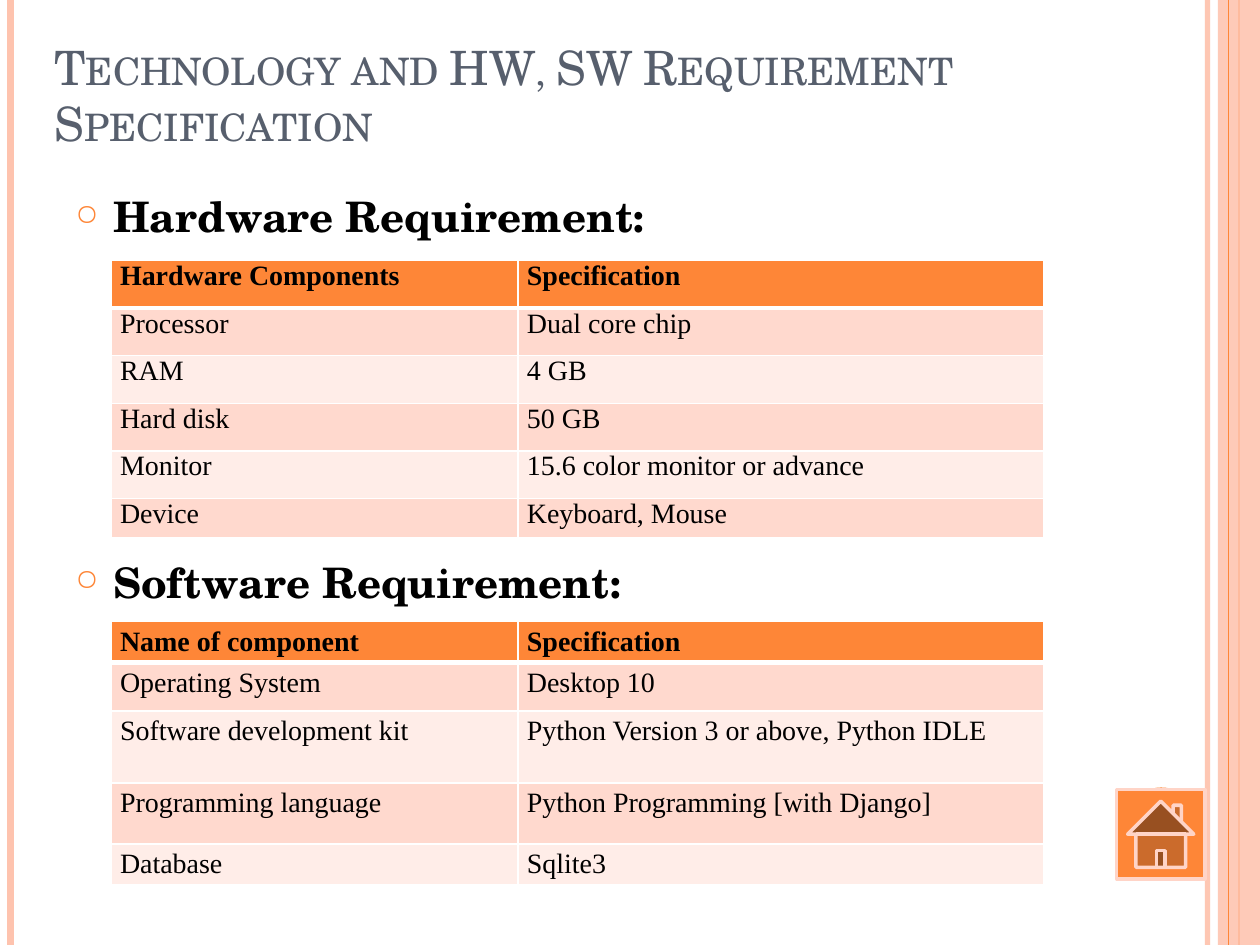
from lxml.etree import SubElement
from pptx import Presentation
from pptx.dml.color import RGBColor
from pptx.enum.shapes import MSO_CONNECTOR, MSO_SHAPE
from pptx.enum.text import MSO_ANCHOR
from pptx.oxml.ns import qn
from pptx.util import Inches, Pt

ORANGE, PEACH, SLATE = "FE8637", "FEC3AE", "575F6D"
BLACK, WHITE, RIM = "000000", "FFFFFF", "FFD4C7"
BANDS = ("FFD9CE", "FFEDE8")
SERIF, ROMAN = "TeX Gyre Schola", "Times New Roman"
COLS, ROWS = 120, 90


def hue(code):
    """Turn a hex string into a colour."""
    return RGBColor.from_string(code)


def node(parent, tag, **attrs):
    """Add an XML child with attributes."""
    return SubElement(parent, qn(tag), {k: str(v) for k, v in attrs.items()})


def fade(fill, share):
    """Set the opacity, in percent, of a solid fill's properties."""
    color = next(fill.iter(qn("a:srgbClr")))
    node(color, "a:alpha", val=share * 1000)


class Deck:
    """Holds the style and the current slide; lengths are grid units."""

    def __init__(self):
        """Start a deck with one blank slide."""
        self.prs = Presentation()
        self.prs.slide_width, self.prs.slide_height = Inches(10), Inches(7.5)
        self.shapes = self.prs.slides.add_slide(self.prs.slide_layouts[6]).shapes

    def x(self, cols):
        """Convert columns to a length."""
        return round(self.prs.slide_width * cols / COLS)

    def y(self, rows):
        """Convert rows to a length."""
        return round(self.prs.slide_height * rows / ROWS)

    def box(self, left, top, wide, high):
        """Convert a grid box to lengths."""
        return self.x(left), self.y(top), self.x(wide), self.y(high)

    def font(self, para, size, face, color, bold=False):
        """Style a paragraph."""
        font = para.font
        font.size, font.name, font.bold = Pt(size), face, bold
        font.color.rgb = hue(color)

    def rule(self, col, color, width, alpha=100):
        """Draw a full-height vertical line."""
        x = self.x(col)
        line = self.shapes.add_connector(MSO_CONNECTOR.STRAIGHT, x, 0, x, self.y(ROWS))
        line.line.color.rgb, line.line.width = hue(color), Pt(width)
        props = line._element.spPr
        node(props, "a:effectLst")
        if alpha < 100:
            fade(props, alpha)

    def shape(self, kind, area, color, rim=None, alpha=100):
        """Draw a filled preset shape."""
        shape = self.shapes.add_shape(kind, *self.box(*area))
        shape.shadow.inherit = False
        shape.fill.solid()
        shape.fill.fore_color.rgb = hue(color)
        if alpha < 100:
            fade(shape._element.spPr, alpha)
        if rim:
            shape.line.color.rgb, shape.line.width = hue(rim), Pt(2)
        else:
            shape.line.fill.background()

    def frame(self, area, anchor):
        """Add a wrapping text box and return its frame."""
        frame = self.shapes.add_textbox(*self.box(*area)).text_frame
        frame.word_wrap, frame.vertical_anchor = True, anchor
        return frame

    def title(self, text, area):
        """Write the title in small capitals."""
        para = self.frame(area, MSO_ANCHOR.BOTTOM).paragraphs[0]
        para.text = text
        self.font(para, 27, SERIF, SLATE)
        para.runs[0].font._element.set("cap", "small")

    def heads(self, items, area):
        """Write bulleted headings, each with its space before in points."""
        frame = self.frame(area, MSO_ANCHOR.TOP)
        for i, (text, gap) in enumerate(items):
            para = frame.add_paragraph() if i else frame.paragraphs[0]
            para.text, para.space_before = text, Pt(gap)
            self.font(para, 24, SERIF, BLACK, True)
            props = para._element.get_or_add_pPr()
            props.set("marL", str(Inches(0.3)))
            props.set("indent", str(Inches(-0.3)))
            mark = [node(props, "a:buClr"), node(props, "a:buSzPct", val=70000),
                    node(props, "a:buChar", char="○")]
            node(mark[0], "a:srgbClr", val=ORANGE)
            start = props.find(qn("a:defRPr"))
            for item in mark:
                start.addprevious(item)

    def edge(self, cell, head):
        """Draw white cell borders, thicker below the header."""
        props = cell._tc.get_or_add_tcPr()
        for side in "LRTB":
            width = 3 if head and side == "B" else 1
            line = node(props, f"a:ln{side}", w=Pt(width))
            node(node(line, "a:solidFill"), "a:srgbClr", val=WHITE)

    def table(self, left, top, widths, heights, rows, space=None):
        """Add a banded table with an orange header."""
        area = self.box(left, top, sum(widths), sum(heights))
        grid = self.shapes.add_table(len(rows), len(widths), *area).table
        for col, wide in zip(grid.columns, widths):
            col.width = self.x(wide)
        for r, (high, texts) in enumerate(zip(heights, rows)):
            grid.rows[r].height = self.y(high)
            for c, text in enumerate(texts):
                cell = grid.cell(r, c)
                cell.margin_left = cell.margin_right = Inches(0.07)
                cell.margin_top = cell.margin_bottom = 0
                self.edge(cell, r == 0)
                cell.fill.solid()
                cell.fill.fore_color.rgb = hue(BANDS[(r - 1) % 2] if r else ORANGE)
                para = cell.text_frame.paragraphs[0]
                para.text, para.line_spacing = text, space
                self.font(para, 16, ROMAN, BLACK, r == 0)


HARD = [("Hardware Components", "Specification"),
        ("Processor", "Dual core chip"),
        ("RAM", "4 GB"),
        ("Hard disk", "50 GB"),
        ("Monitor", "15.6 color monitor or advance"),
        ("Device", "Keyboard, Mouse")]
SOFT = [("Name of component", "Specification"),
        ("Operating System", "Desktop 10"),
        ("Software development kit", "Python Version 3 or above, Python IDLE"),
        ("Programming language", "Python Programming [with Django]"),
        ("Database", "Sqlite3")]
WIDTHS = (38.75, 50.05)

deck = Deck()
deck.rule(115, PEACH, 3, 93)
deck.rule(1, PEACH, 4.5)
deck.rule(118, ORANGE, 1.5)
deck.shape(MSO_SHAPE.RECTANGLE, (116, 0, 4, ROWS), PEACH, alpha=87)
deck.rule(117, ORANGE, 0.75)
deck.shape(MSO_SHAPE.OVAL, (107, 75, 7.2, 7.2), ORANGE)
deck.title("Technology and HW, SW Requirement Specification", (4, 5, 112, 10))
deck.heads([("Hardware Requirement:", 6), ("Software Requirement:", 180)],
           (6, 17.6, 98, 67.4))
deck.shape(MSO_SHAPE.ACTION_BUTTON_HOME, (106.35, 75.2, 8.4, 8.5), ORANGE, RIM)
deck.table(10.6, 24.8, WIDTHS, [4.54] * 5 + [3.7], HARD)
deck.table(10.6, 59.2, WIDTHS, (3.9, 4.6, 6.9, 5.8, 3.9), SOFT, 1.15)
deck.prs.save("out.pptx")
